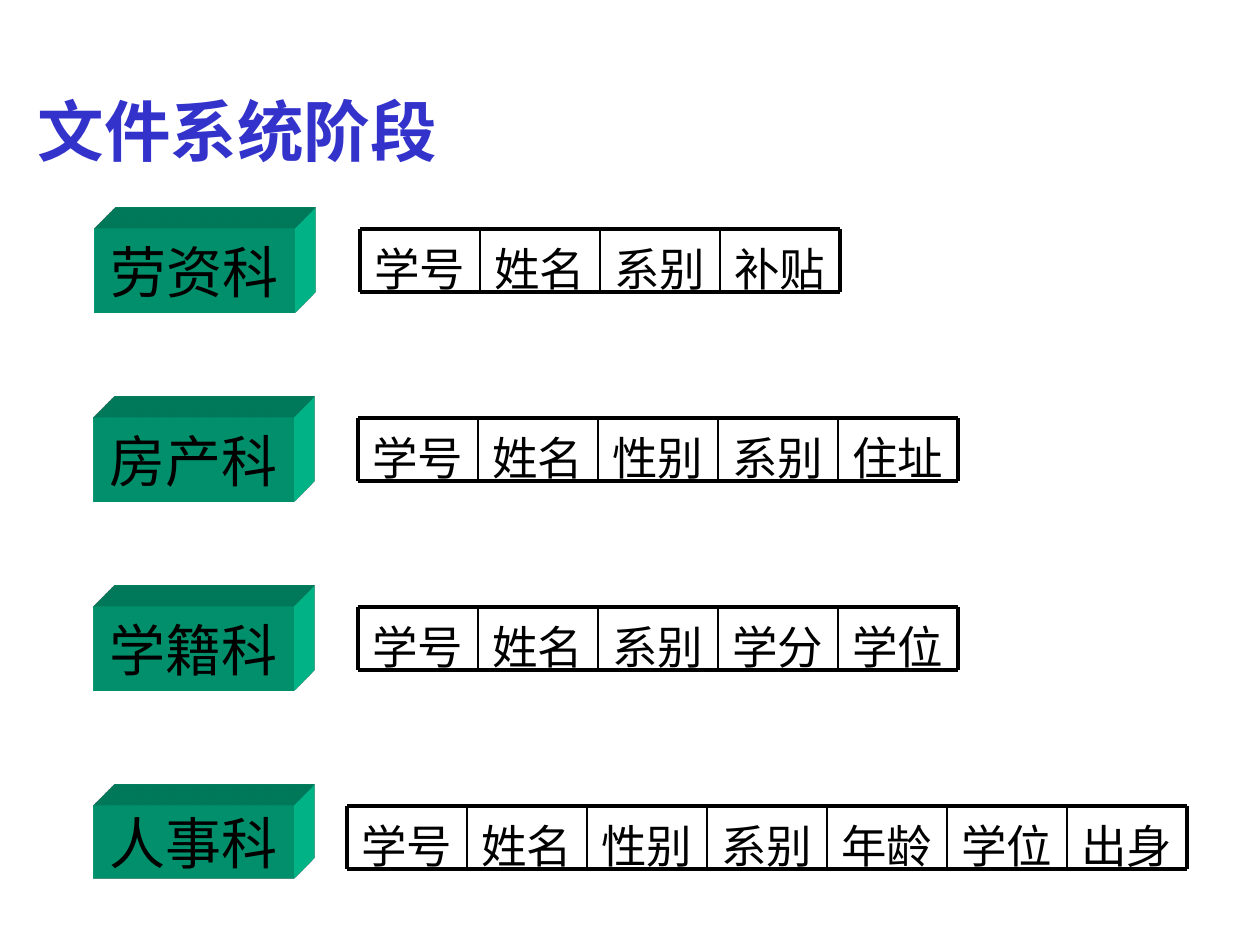
from lxml import etree
from pptx import Presentation
from pptx.dml.color import RGBColor
from pptx.enum.shapes import MSO_CONNECTOR as CONNECTOR, MSO_SHAPE as SHAPE
from pptx.enum.text import MSO_ANCHOR as ANCHOR, PP_ALIGN as ALIGN
from pptx.oxml import parse_xml
from pptx.oxml.ns import nsdecls, qn
from pptx.util import Emu, Pt

PX = 914400 / 126
BLACK = RGBColor(0x00, 0x00, 0x00)
BLUE = RGBColor(0x33, 0x33, 0xCC)
GREEN = RGBColor(0x00, 0xCC, 0x99)
BODY_FONT = "Times New Roman"
BLOCK_FONT = "Cabin"

FIELD_WIDTH, FIELD_HEIGHT = 120, 63
BLOCK_WIDTH = 200
THICK, THIN = 2.25, 1

# department, block left, block height, record left, top, fields
RECORDS = [
    ("劳资科", 95, 84, 360, 229, ["学号", "姓名", "系别", "补贴"]),
    ("房产科", 94, 84, 358, 418, ["学号", "姓名", "性别", "系别", "住址"]),
    ("学籍科", 94, 84, 358, 607, ["学号", "姓名", "系别", "学分", "学位"]),
    ("人事科", 94, 73, 347, 806,
     ["学号", "姓名", "性别", "系别", "年龄", "学位", "出身"]),
]


def px(*lengths):
    return [Emu(round(length * PX)) for length in lengths]


def style(paragraph, font_name, size, color, align, bold=False):
    paragraph.alignment = align
    font = paragraph.font
    font.name, font.size, font.bold = font_name, Pt(size), bold
    font.color.rgb = color


def add_title(slide, text):
    title = slide.shapes.title
    title.left, title.top, title.width, title.height = px(25, 84, 1211, 91)
    title.text_frame.text = text
    title.text_frame.vertical_anchor = ANCHOR.MIDDLE
    style(title.text_frame.paragraphs[0], BODY_FONT, 38, BLUE, ALIGN.LEFT, True)


def extrude(shape, color):
    """Give a shape depth towards the top right."""
    properties = shape.fill._xPr
    properties.append(parse_xml(
        f'<a:scene3d {nsdecls("a")}><a:camera prst="legacyObliqueTopRight"/>'
        '<a:lightRig rig="legacyFlat3" dir="b"/></a:scene3d>'))
    properties.append(parse_xml(
        f'<a:sp3d {nsdecls("a")} extrusionH="430200" prstMaterial="legacyMatte">'
        '<a:bevelT w="13500" h="13500" prst="angle"/>'
        '<a:bevelB w="13500" h="13500" prst="angle"/>'
        f'<a:extrusionClr><a:srgbClr val="{color}"/></a:extrusionClr></a:sp3d>'))


def add_block(slide, department, left, top, height):
    block = slide.shapes.add_shape(
        SHAPE.RECTANGLE, *px(left, top, BLOCK_WIDTH, height))
    block.shadow.inherit = False
    block.fill.solid()
    block.fill.fore_color.rgb = GREEN
    block.line.fill.background()
    extrude(block, GREEN)
    frame = block.text_frame
    frame.word_wrap = False
    frame.vertical_anchor = ANCHOR.MIDDLE
    frame.text = department
    style(frame.paragraphs[0], BLOCK_FONT, 32, BLACK, ALIGN.CENTER)


def add_field(slide, name, left, top):
    field = slide.shapes.add_textbox(*px(left, top, FIELD_WIDTH, FIELD_HEIGHT))
    frame = field.text_frame
    frame.word_wrap = True
    frame.margin_left = frame.margin_right = 0
    frame.margin_top = frame.margin_bottom = 0
    frame.vertical_anchor = ANCHOR.MIDDLE
    frame.text = name
    frame.paragraphs[0].line_spacing = 1.3
    style(frame.paragraphs[0], BODY_FONT, 26, BLACK, ALIGN.CENTER)


def add_rule(slide, x1, y1, x2, y2, weight):
    rule = slide.shapes.add_connector(CONNECTOR.STRAIGHT, *px(x1, y1, x2, y2))
    rule.line.color.rgb = BLACK
    rule.line.width = Pt(weight)
    etree.SubElement(rule.line._ln.getparent(), qn("a:effectLst"))


def add_record(slide, fields, left, top):
    right, bottom = left + FIELD_WIDTH * len(fields), top + FIELD_HEIGHT
    for index, name in enumerate(fields):
        add_field(slide, name, left + index * FIELD_WIDTH, top)
    for y in (top, bottom):
        add_rule(slide, left, y, right, y, THICK)
    for x in range(left, right + 1, FIELD_WIDTH):
        add_rule(slide, x, top, x, bottom, THICK if x in (left, right) else THIN)


def main():
    deck = Presentation()
    deck.slide_width, deck.slide_height = px(1260, 945)
    slide = deck.slides.add_slide(deck.slide_layouts[5])
    add_title(slide, "文件系统阶段")

    # One department block and its record layout per row
    for department, block_left, height, record_left, top, fields in RECORDS:
        add_record(slide, fields, record_left, top)
        add_block(slide, department, block_left, top, height)
    deck.save("out.pptx")


if __name__ == "__main__":
    main()
